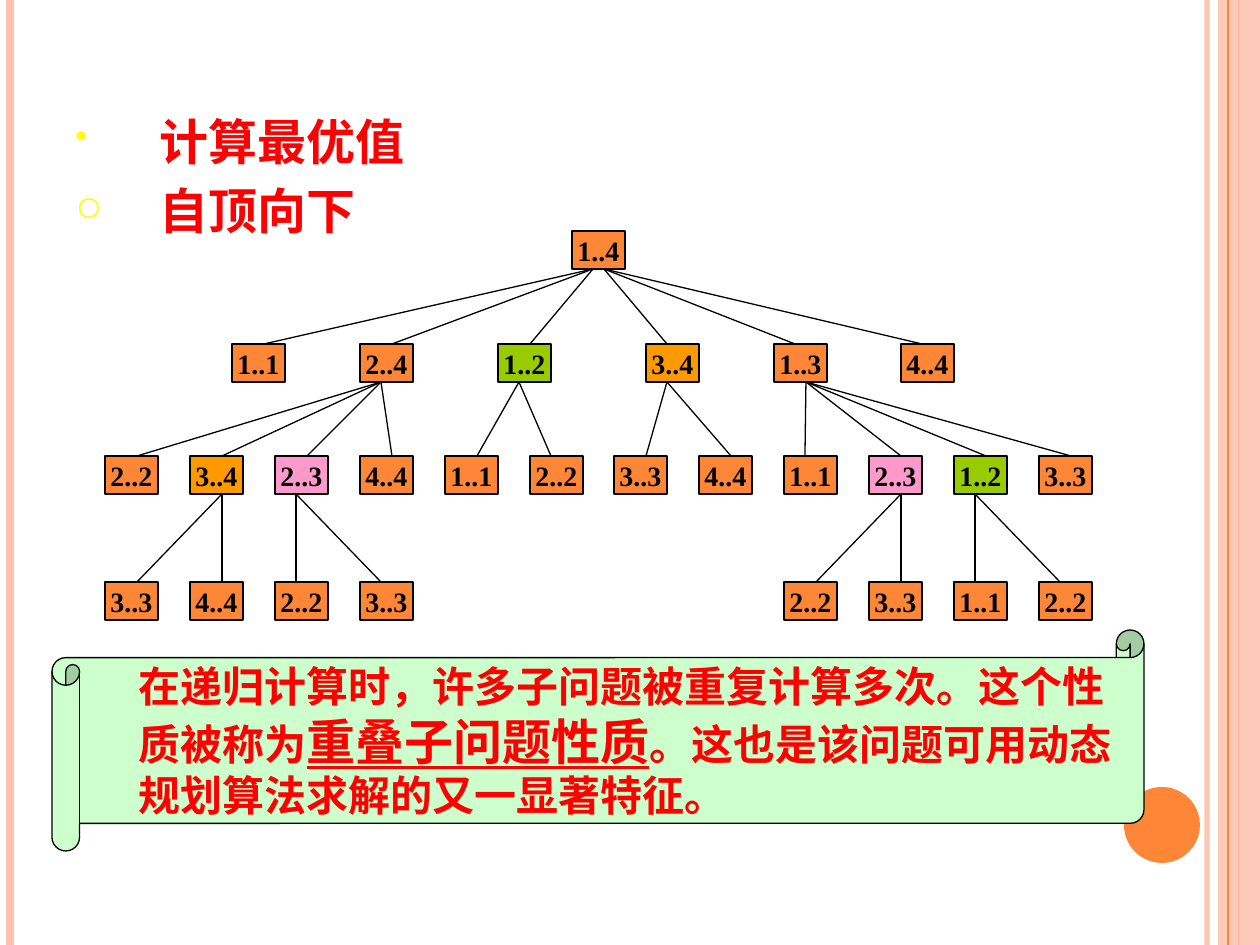
from dataclasses import dataclass

from lxml import etree
from pptx import Presentation
from pptx.dml.color import RGBColor
from pptx.enum.shapes import MSO_CONNECTOR, MSO_SHAPE
from pptx.enum.text import MSO_ANCHOR, PP_ALIGN
from pptx.oxml.ns import qn
from pptx.util import Emu, Pt

STRAIGHT = MSO_CONNECTOR.STRAIGHT
RECTANGLE = MSO_SHAPE.RECTANGLE
OVAL = MSO_SHAPE.OVAL
SCROLL = MSO_SHAPE.HORIZONTAL_SCROLL
MIDDLE = MSO_ANCHOR.MIDDLE
CENTER = PP_ALIGN.CENTER

BLACK = RGBColor(0x00, 0x00, 0x00)
RED = RGBColor(0xFF, 0x00, 0x00)
ORANGE = RGBColor(0xFE, 0x86, 0x37)
PEACH = RGBColor(0xFE, 0xC3, 0xAE)
GREEN = RGBColor(0x99, 0xCC, 0x00)
AMBER = RGBColor(0xFF, 0x99, 0x00)
PINK = RGBColor(0xFF, 0x99, 0xCC)
MINT = RGBColor(0xCC, 0xFF, 0xCC)
BULLET_COLOR = "FFFF00"

PX_PER_INCH = 126
SLIDE_W, SLIDE_H = 1260, 945
HEADING_FONT, BODY_FONT = "Cambria", "Times New Roman"

# Each repeated subproblem has its own colour.
REPEATED = {"1..2": GREEN, "3..4": AMBER, "2..3": PINK}

NODE_W, NODE_H = 53, 38
ROW_TOPS = [231, 344, 456, 582]
FIRST_COLUMN, LAST_COLUMN, COLUMN_GAPS = 105, 1039, 11
LEFT, RIGHT = 21, 32  # where an edge meets a node, from its left side


@dataclass
class Node:
    """A subproblem; leave and arrive place the edge on parent and node."""
    label: str
    column: float
    leave: int = LEFT
    arrive: int = RIGHT
    children: tuple = ()


TREE = Node("1..4", 5.5, children=(
    Node("1..1", 1.5),
    Node("2..4", 3, children=(
        Node("2..2", 0),
        Node("3..4", 1, children=(
            Node("3..3", 0, RIGHT), Node("4..4", 1, RIGHT))),
        Node("2..3", 2, children=(
            Node("2..2", 2, LEFT, LEFT), Node("3..3", 3, LEFT, LEFT))),
        Node("4..4", 3))),
    Node("1..2", 4.625, children=(
        Node("1..1", 4), Node("2..2", 5, LEFT, LEFT))),
    Node("3..4", 6.375, RIGHT, LEFT, children=(
        Node("3..3", 6), Node("4..4", 7))),
    Node("1..3", 7.875, RIGHT, LEFT, children=(
        Node("1..1", 8, RIGHT, LEFT),
        Node("2..3", 9, RIGHT, children=(
            Node("2..2", 8, RIGHT), Node("3..3", 9, RIGHT))),
        Node("1..2", 10, RIGHT, children=(
            Node("1..1", 10, LEFT, LEFT), Node("2..2", 11, LEFT, LEFT))),
        Node("3..3", 11, RIGHT))),
    Node("4..4", 9.375, RIGHT, LEFT),
))


def px(length):
    return Emu(round(length * 914400 / PX_PER_INCH))


def set_opacity(fill_parent, percent):
    color = fill_parent.find(".//" + qn("a:srgbClr"))
    etree.SubElement(color, qn("a:alpha"), val=str(percent * 1000))


def add_line(slide, start, end, color=BLACK, width=0.75, opacity=None):
    line = slide.shapes.add_connector(
        STRAIGHT, *(px(value) for value in (*start, *end)))
    line.line.color.rgb = color
    line.line.width = Pt(width)
    properties = line._element.spPr
    etree.SubElement(properties, qn("a:effectLst"))
    if opacity:
        set_opacity(properties, opacity)


def add_box(slide, preset, left, top, width, height, fill,
            outline=None, opacity=None):
    box = slide.shapes.add_shape(
        preset, px(left), px(top), px(width), px(height))
    box.shadow.inherit = False
    box.fill.solid()
    box.fill.fore_color.rgb = fill
    if opacity:
        set_opacity(box._element.spPr, opacity)
    if outline is None:
        box.line.fill.background()
    else:
        box.line.color.rgb = outline
        box.line.width = Pt(0.75)
    return box


def add_text(paragraph, text, font=BODY_FONT, size=24, color=RED,
             underline=False):
    run = paragraph.add_run()
    run.text = text
    run.font.name = font
    run.font.size = Pt(size)
    run.font.bold = True
    run.font.underline = underline
    run.font.color.rgb = color


def set_bullet(paragraph, symbol, indent):
    properties = paragraph._p.get_or_add_pPr()
    properties.set("marL", str(px(indent)))
    properties.set("indent", str(-px(indent)))
    color = etree.SubElement(properties, qn("a:buClr"))
    etree.SubElement(color, qn("a:srgbClr"), val=BULLET_COLOR)
    etree.SubElement(properties, qn("a:buSzPct"), val="70000")
    etree.SubElement(properties, qn("a:buChar"), char=symbol)


def add_side_bands(slide):
    def stripe(x, color, width, opacity=None):
        add_line(slide, (x, 0), (x, SLIDE_H), color, width, opacity)

    stripe(1207, PEACH, 3, 93)
    stripe(10, PEACH, 4.5)
    stripe(1239, ORANGE, 1.5)
    add_box(slide, RECTANGLE, 1218, 0, 42, SLIDE_H, PEACH, opacity=87)
    stripe(1228, ORANGE, 0.75)
    add_box(slide, OVAL, 1124, 787, 76, 76, ORANGE)


def add_headings(slide):
    frame = slide.shapes.add_textbox(
        px(63), px(105), px(1134), px(620)).text_frame
    frame.word_wrap = True
    headings = [("•", "计算最优值"), ("○", "自顶向下")]
    for index, (symbol, heading) in enumerate(headings):
        paragraph = frame.add_paragraph() if index else frame.paragraphs[0]
        paragraph.space_before = Pt(6)
        set_bullet(paragraph, symbol, 84)
        add_text(paragraph, heading, font=HEADING_FONT, size=28)


def node_left(node):
    pitch = (LAST_COLUMN - FIRST_COLUMN) / COLUMN_GAPS
    return round(FIRST_COLUMN + node.column * pitch)


def add_tree(slide, node, level=0):
    """Draw a node, the edges to its children and their subtrees."""
    left, top = node_left(node), ROW_TOPS[level]
    box = add_box(slide, RECTANGLE, left, top, NODE_W, NODE_H,
                  REPEATED.get(node.label, ORANGE), outline=BLACK)
    frame = box.text_frame
    frame.word_wrap = False
    frame.vertical_anchor = MIDDLE
    frame.paragraphs[0].alignment = CENTER
    add_text(frame.paragraphs[0], node.label, size=16, color=BLACK)
    for child in node.children:
        add_line(slide, (left + child.leave, top + NODE_H),
                 (node_left(child) + child.arrive, ROW_TOPS[level + 1]))
        add_tree(slide, child, level + 1)


def add_conclusion(slide):
    scroll = add_box(slide, SCROLL, 52, 630, 1092, 221, MINT, outline=BLACK)
    frame = scroll.text_frame
    frame.word_wrap = True
    frame.vertical_anchor = MIDDLE
    paragraph = frame.paragraphs[0]
    paragraph.alignment = PP_ALIGN.LEFT
    paragraph._p.get_or_add_pPr().set("marL", str(px(47)))
    add_text(paragraph, "在递归计算时，许多子问题被重复计算多次。这个性质被称为")
    add_text(paragraph, "重叠子问题性质", size=28, underline=True)
    add_text(paragraph, "。这也是该问题可用动态规划算法求解的又一显著特征。")


def main():
    deck = Presentation()
    deck.slide_width, deck.slide_height = px(SLIDE_W), px(SLIDE_H)
    slide = deck.slides.add_slide(deck.slide_layouts[6])
    add_side_bands(slide)
    add_headings(slide)
    add_tree(slide, TREE)
    add_conclusion(slide)
    deck.save("out.pptx")


if __name__ == "__main__":
    main()
